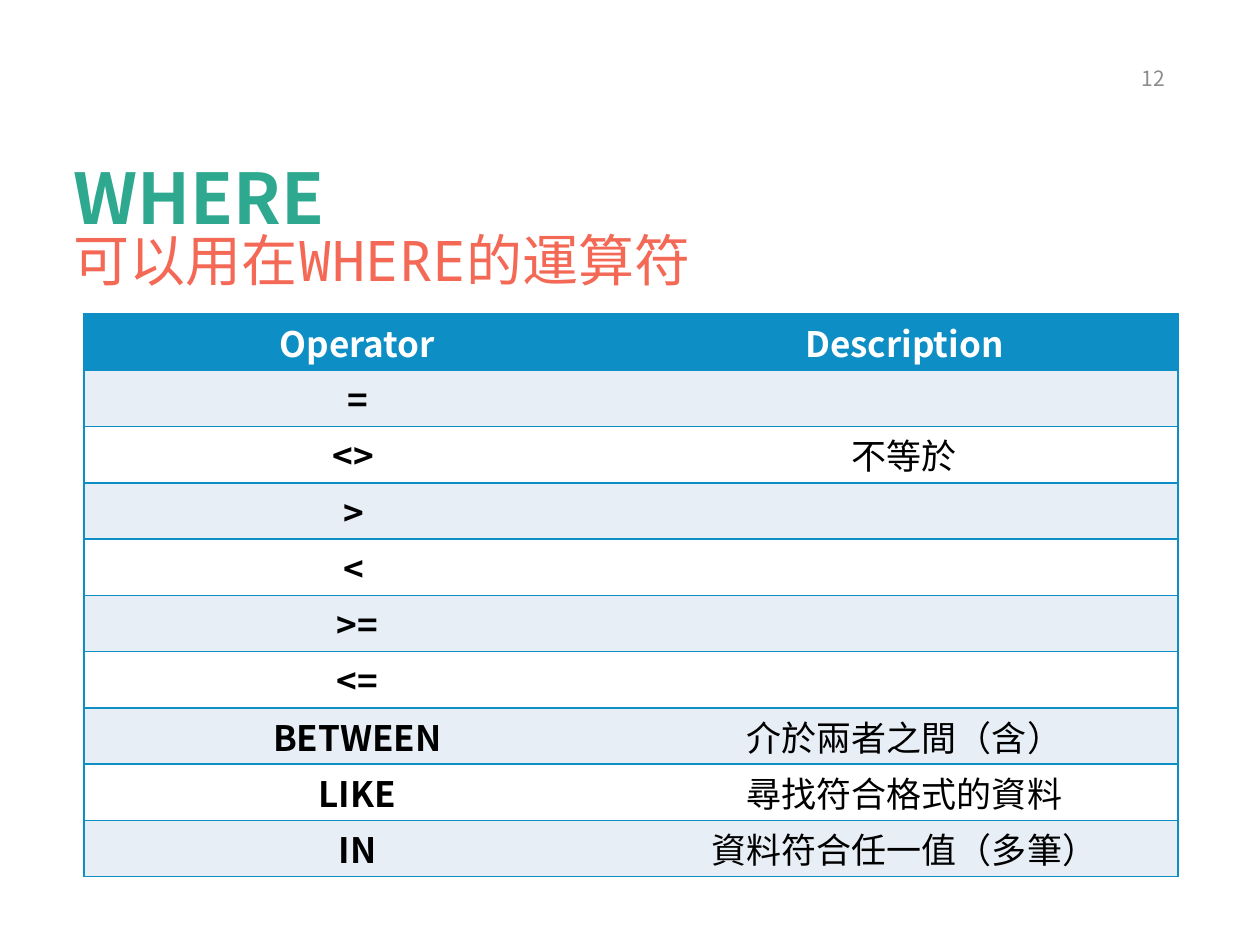
from lxml import etree
from pptx import Presentation
from pptx import util as u
from pptx.dml.color import RGBColor
from pptx.enum import text
from pptx.oxml import ns

PX = 914400 / 126
SANS, MONO = "Noto Sans CJK SC", "Noto Sans Mono"
BLUE, BAND, WHITE, BLACK = "0D8EC5", "E7EEF5", "FFFFFF", "000000"
GREEN, CORAL, GREY = "2EA98F", "F46856", "8C8C8C"
OPERATORS = [
    ("Operator", "Description"),
    ("=", ""),
    ("<> ", "不等於"),
    ("> ", ""),
    ("< ", ""),
    (">=", ""),
    ("<=", ""),
    ("BETWEEN", "介於兩者之間（含）"),
    ("LIKE", "尋找符合格式的資料"),
    ("IN", "資料符合任一值（多筆）"),
]


def px(n):
    return u.Emu(round(n * PX))


def color(hex_):
    return RGBColor.from_string(hex_)


def add_run(p, words, size, hex_, font=SANS, bold=False):
    r = p.add_run()
    r.text = words
    r.font.size, r.font.name, r.font.bold = u.Pt(size), font, bold
    r.font.color.rgb = color(hex_)
    ea = etree.SubElement(r._r.get_or_add_rPr(), ns.qn("a:ea"))
    ea.set("typeface", font)


def add_box(s, box, inset):
    tf = s.shapes.add_textbox(*map(px, box)).text_frame
    tf.word_wrap = True
    tf.vertical_anchor = text.MSO_ANCHOR.MIDDLE
    tf.margin_left = tf.margin_right = px(inset)
    return tf


def set_borders(cell, sides):
    """Draw the given sides in blue and clear the others."""
    tcPr = cell._tc.get_or_add_tcPr()
    for i, side in enumerate("LRTB"):
        ln = etree.Element(ns.qn(f"a:ln{side}"), w=str(u.Pt(1)))
        if side in sides:
            fill = etree.SubElement(ln, ns.qn("a:solidFill"))
            etree.SubElement(fill, ns.qn("a:srgbClr"), val=BLUE)
        else:
            etree.SubElement(ln, ns.qn("a:noFill"))
        tcPr.insert(i, ln)


def page_number(s, box):
    p = add_box(s, box, 13).paragraphs[0]
    p.alignment = text.PP_ALIGN.RIGHT
    add_run(p, "12", 12, GREY)


def heading(s, box):
    tf = add_box(s, box, 74)
    title, subtitle = tf.paragraphs[0], tf.add_paragraph()
    title.line_spacing = subtitle.line_spacing = 0.8
    add_run(title, "WHERE", 40, GREEN, bold=True)
    add_run(subtitle, "可以用在WHERE的運算符", 32, CORAL, MONO)


def operator_table(s, box):
    table = s.shapes.add_table(len(OPERATORS), 2, *map(px, box)).table
    for i, row in enumerate(OPERATORS):
        fill = BLUE if i == 0 else BAND if i % 2 else WHITE
        for j, words in enumerate(row):
            cell = table.cell(i, j)
            cell.fill.solid()
            cell.fill.fore_color.rgb = color(fill)
            set_borders(cell, "RTB" if j else "LTB")
            cell.vertical_anchor = text.MSO_ANCHOR.MIDDLE
            cell.margin_left = cell.margin_right = px(9)
            cell.margin_top = cell.margin_bottom = 0
            p = cell.text_frame.paragraphs[0]
            p.alignment = text.PP_ALIGN.CENTER
            if words:
                add_run(p, words, 20, BLACK if i else WHITE,
                        bold=i == 0 or j == 0)


def main():
    prs = Presentation()
    prs.slide_width, prs.slide_height = px(1260), px(945)
    s = prs.slides.add_slide(prs.slide_layouts[6])
    page_number(s, (906, 53, 272, 50))
    heading(s, (0, 149, 1260, 165))
    operator_table(s, (84, 314, 1094, 563))
    prs.save("out.pptx")


if __name__ == "__main__":
    main()
